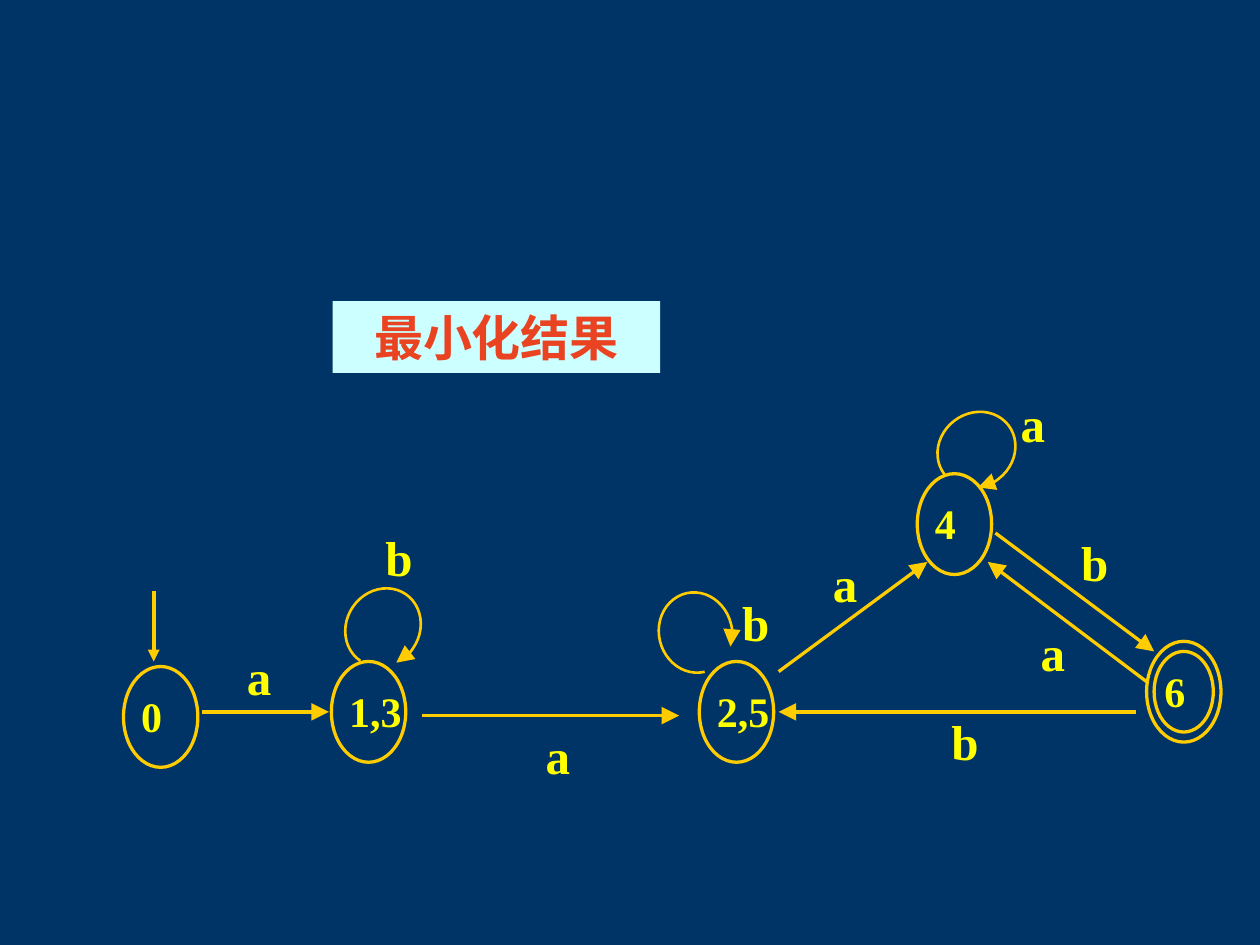
"""Build the slide that shows the minimised automaton."""
from dataclasses import dataclass

from lxml import etree
from pptx import Presentation
from pptx.dml.color import RGBColor
from pptx.enum.shapes import MSO_CONNECTOR, MSO_SHAPE
from pptx.enum.text import MSO_ANCHOR, MSO_AUTO_SIZE, PP_ALIGN
from pptx.oxml.ns import qn
from pptx.util import Inches, Pt

STRAIGHT = MSO_CONNECTOR.STRAIGHT
OVAL, ARC = MSO_SHAPE.OVAL, MSO_SHAPE.ARC
MIDDLE = MSO_ANCHOR.MIDDLE
NO_AUTOFIT = MSO_AUTO_SIZE.NONE
LEFT, CENTER = PP_ALIGN.LEFT, PP_ALIGN.CENTER
TITLE_ONLY = 5


@dataclass(frozen=True)
class Theme:
    """Colours, fonts and sizes of the deck."""

    background: str = "003366"
    ink: str = "FFCC00"
    label: str = "FFFF00"
    title: str = "EA4322"
    title_fill: str = "CCFFFF"
    title_font: str = "Arial"
    label_font: str = "Times New Roman"
    title_size: int = 28
    state_size: int = 24
    symbol_size: int = 28
    edge_width: float = 1.87
    loop_width: float = 1.5
    start_width: float = 2.25


def write_text(frame, text, *, size, color, font, align=LEFT):
    """Put one bold line of formatted text in a frame."""
    para = frame.paragraphs[0]
    para.alignment = align
    span = para.add_run()
    span.text = text
    span.font.size = Pt(size)
    span.font.bold = True
    span.font.name = font
    span.font.color.rgb = RGBColor.from_string(color)


class Diagram:
    """Draw the parts of an automaton on one slide."""

    state_width, state_height = 0.59, 0.8
    loop_width, loop_height = 0.58, 0.64

    def __init__(self, page, theme):
        """Keep the page and theme and paint the background."""
        self.page = page
        self.theme = theme
        fill = page.background.fill
        fill.solid()
        fill.fore_color.rgb = RGBColor.from_string(theme.background)

    def stroke(self, shape, width):
        """Give a shape the ink line."""
        shape.line.color.rgb = RGBColor.from_string(self.theme.ink)
        shape.line.width = Pt(width)

    def arrowhead(self, shape, size):
        """End the line of a shape with a triangle."""
        line = shape.element.spPr.find(qn("a:ln"))
        etree.SubElement(line, qn("a:tailEnd"), type="triangle", w=size, len=size)

    def title(self, text, left, top, width, height):
        """Place and format the title placeholder."""
        box = self.page.shapes.title
        box.left, box.top = Inches(left), Inches(top)
        box.width, box.height = Inches(width), Inches(height)
        box.fill.solid()
        box.fill.fore_color.rgb = RGBColor.from_string(self.theme.title_fill)
        frame = box.text_frame
        frame.auto_size = NO_AUTOFIT
        frame.vertical_anchor = MIDDLE
        write_text(frame, text, size=self.theme.title_size, color=self.theme.title,
                   font=self.theme.title_font, align=CENTER)

    def label(self, text, left, top, width, size):
        """Add a text box without margins."""
        box = self.page.shapes.add_textbox(
            Inches(left), Inches(top), Inches(width), Inches(size / 60))
        frame = box.text_frame
        frame.word_wrap = False
        frame.margin_left = frame.margin_right = 0
        frame.margin_top = frame.margin_bottom = 0
        write_text(frame, text, size=size, color=self.theme.label,
                   font=self.theme.label_font)

    def symbol(self, text, left, top):
        """Name an edge with its input symbol."""
        self.label(text, left, top, 0.2, self.theme.symbol_size)

    def outline(self, kind, left, top, width, height, line_width):
        """Add an unfilled preset shape."""
        shape = self.page.shapes.add_shape(
            kind, Inches(left), Inches(top), Inches(width), Inches(height))
        shape.shadow.inherit = False
        shape.fill.background()
        self.stroke(shape, line_width)
        return shape

    def state(self, name, left, top, accepting=False):
        """Draw a state, with a second ring if it accepts."""
        width = self.theme.edge_width
        self.outline(OVAL, left, top, self.state_width, self.state_height, width)
        if accepting:
            self.outline(OVAL, left + 0.06, top + 0.08,
                         self.state_width - 0.12, self.state_height - 0.16, width)
        self.label(name, left + 0.14, top + 0.19, 0.15 * len(name),
                   self.theme.state_size)

    def loop(self, left, top, rotation):
        """Draw a self loop that runs clockwise from 90 to 35 degrees."""
        arc = self.outline(ARC, left, top, self.loop_width, self.loop_height,
                           self.theme.loop_width)
        for index, degrees in enumerate((90, 35)):
            arc.adjustments[index] = degrees * 0.6
        arc.rotation = rotation
        self.arrowhead(arc, "lg")

    def edge(self, start, end, width=None, head="lg"):
        """Draw an arrow between two points."""
        points = [Inches(value) for value in (*start, *end)]
        arrow = self.page.shapes.add_connector(STRAIGHT, *points)
        self.stroke(arrow, width or self.theme.edge_width)
        self.arrowhead(arrow, head)
        etree.SubElement(arrow.element.spPr, qn("a:effectLst"))


STATES = [
    ("0", 0.98, 5.29, False),
    ("1,3", 2.63, 5.25, False),
    ("2,5", 5.55, 5.25, False),
    ("4", 7.28, 3.76, False),
    ("6", 9.1, 5.09, True),
]
LOOPS = [(2.75, 4.66, 34.3), (5.23, 4.7, 346.8), (7.46, 3.25, 52.6)]
EDGES = [
    ((1.6, 5.65), (2.61, 5.65)),
    ((3.35, 5.68), (5.39, 5.68)),
    ((6.18, 5.33), (7.36, 4.46)),
    ((7.9, 4.23), (9.16, 5.17)),
    ((9.1, 5.41), (7.84, 4.46)),
    ((9.02, 5.65), (6.18, 5.65)),
]
SYMBOLS = [
    ("a", 1.96, 5.13), ("b", 3.06, 4.19), ("a", 4.33, 5.76),
    ("b", 5.89, 4.7), ("a", 6.61, 4.39), ("a", 8.1, 3.12),
    ("b", 8.58, 4.23), ("a", 8.26, 4.94), ("b", 7.55, 5.65),
]


def main():
    """Build and save the deck."""
    deck = Presentation()
    deck.slide_width, deck.slide_height = Inches(10), Inches(7.5)
    theme = Theme()
    diagram = Diagram(deck.slides.add_slide(deck.slide_layouts[TITLE_ONLY]), theme)
    diagram.title("最小化结果", 2.64, 2.39, 2.6, 0.57)
    for state in STATES:
        diagram.state(*state)
    for loop in LOOPS:
        diagram.loop(*loop)
    for edge in EDGES:
        diagram.edge(*edge)
    diagram.edge((1.22, 4.69), (1.22, 5.25), theme.start_width, "med")
    for symbol in SYMBOLS:
        diagram.symbol(*symbol)
    deck.save("out.pptx")


if __name__ == "__main__":
    main()
